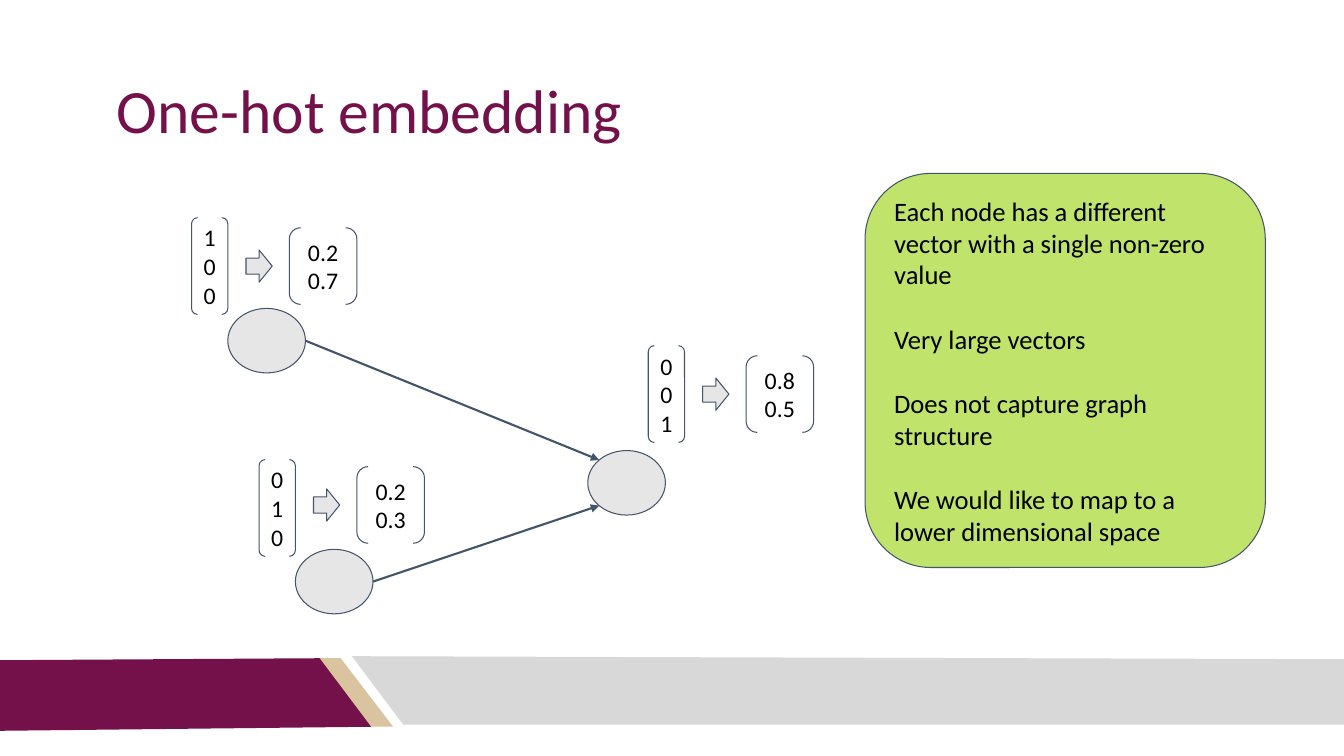
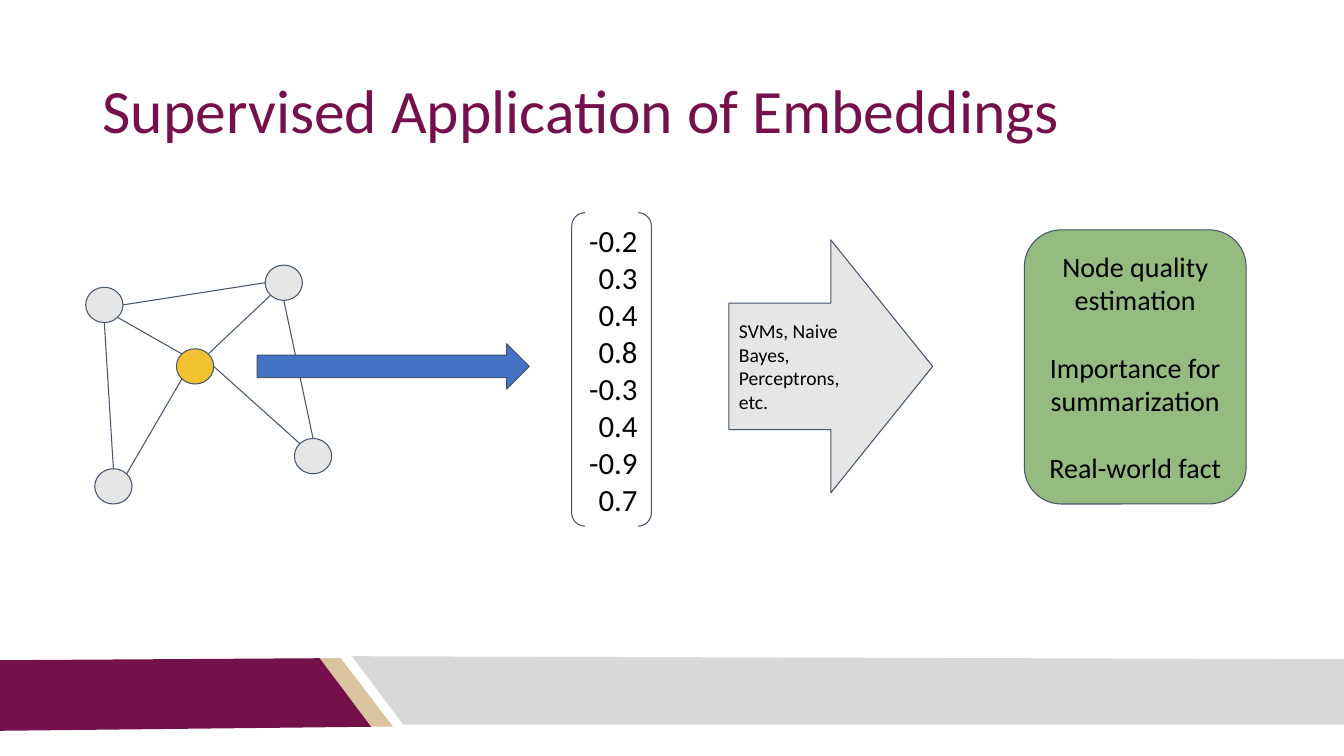
from dataclasses import dataclass
from math import sqrt

from lxml.etree import SubElement
from pptx import Presentation
from pptx.dml.color import RGBColor
from pptx.enum.shapes import MSO_CONNECTOR, MSO_SHAPE as Preset
from pptx.enum.text import MSO_ANCHOR as Anchor, PP_ALIGN as Align
from pptx.oxml.ns import qn
from pptx.util import Inches, Pt


@dataclass(frozen=True)
class Theme:
    font: str = "Calibri"
    maroon: RGBColor = RGBColor(0x75, 0x11, 0x4A)
    tan: RGBColor = RGBColor(0xD9, 0xC4, 0x9F)
    band_gray: RGBColor = RGBColor(0xD8, 0xD8, 0xD8)
    node_gray: RGBColor = RGBColor(0xE7, 0xE6, 0xE6)
    outline: RGBColor = RGBColor(0x44, 0x54, 0x6A)
    lime: RGBColor = RGBColor(0xB0, 0xDD, 0x46)
    green: RGBColor = RGBColor(0x96, 0xBB, 0x80)
    yellow: RGBColor = RGBColor(0xF1, 0xC2, 0x32)
    blue: RGBColor = RGBColor(0x44, 0x72, 0xC4)
    black: RGBColor = RGBColor(0, 0, 0)
    title_size: int = 44
    vector_size: int = 17
    remark_size: int = 19
    embedding_size: int = 22
    method_size: int = 14
    task_size: int = 20


theme = Theme()
MARGIN = Inches(0.1)
DIAGONAL = sqrt(0.5)
SITES = {
    "N": (0, -1), "S": (0, 1), "W": (-1, 0), "E": (1, 0),
    "NW": (-DIAGONAL, -DIAGONAL), "NE": (DIAGONAL, -DIAGONAL),
    "SW": (-DIAGONAL, DIAGONAL), "SE": (DIAGONAL, DIAGONAL),
}


def add_figure(slide, preset, box, fill=None, lines=(), size=None, align=Align.CENTER, gap=0):
    """Add an outlined shape; gap is the space in points between its paragraphs."""
    shape = slide.shapes.add_shape(preset, *map(Inches, box))
    shape.shadow.inherit = False
    shape.line.color.rgb = theme.outline
    shape.line.width = Pt(0.75)
    if fill is None:
        shape.fill.background()
    else:
        shape.fill.solid()
        shape.fill.fore_color.rgb = fill
    frame = shape.text_frame
    frame.word_wrap = True
    frame.vertical_anchor = Anchor.MIDDLE
    frame.margin_left = frame.margin_right = frame.margin_top = frame.margin_bottom = MARGIN
    for index, line in enumerate(lines):
        paragraph = frame.add_paragraph() if index else frame.paragraphs[0]
        paragraph.alignment = align
        if index and gap:
            paragraph.space_before = Pt(gap)
        run = paragraph.add_run()
        run.text = line
        run.font.name = theme.font
        run.font.size = Pt(size)
        run.font.color.rgb = theme.black
    return shape


def add_edge(slide, start, start_site, end, end_site, width=0.75, arrow=False):
    """Join two ellipses at compass points on their outlines."""
    ends = []
    for node, site in ((start, start_site), (end, end_site)):
        across, down = SITES[site]
        ends += [int(node.left + node.width * (1 + across) / 2),
                 int(node.top + node.height * (1 + down) / 2)]
    connector = slide.shapes.add_connector(MSO_CONNECTOR.STRAIGHT, *ends)
    connector.line.color.rgb = theme.outline
    connector.line.width = Pt(width)
    properties = connector.element.spPr
    if arrow:
        SubElement(properties.find(qn("a:ln")), qn("a:tailEnd"), type="triangle")
    SubElement(properties, qn("a:effectLst"))


presentation = Presentation()
presentation.slide_width = Inches(13.33)
presentation.slide_height = Inches(7.5)
blank = presentation.slide_layouts[6]

# Titles
slides = []
for title, left in (("One-hot embedding", 1.06), ("Supervised Application of Embeddings", 0.92)):
    slide = presentation.slides.add_slide(blank)
    slides.append(slide)
    title_box = slide.shapes.add_textbox(Inches(left), Inches(0.4), Inches(11.36), Inches(1.45))
    frame = title_box.text_frame
    frame.word_wrap = True
    frame.vertical_anchor = Anchor.MIDDLE
    frame.margin_left = frame.margin_right = frame.margin_top = frame.margin_bottom = MARGIN
    paragraph = frame.paragraphs[0]
    paragraph.line_spacing = 0.9
    run = paragraph.add_run()
    run.text = title
    run.font.name = theme.font
    run.font.size = Pt(theme.title_size)
    run.font.color.rgb = theme.maroon
one_hot_slide, supervised_slide = slides

# Footer bands, moved to the layout so that both slides share them
bands = (
    (theme.tan, ((3.16, 6.53), (3.38, 6.53), (3.9, 7.21), (3.67, 7.21))),
    (theme.maroon, ((0, 6.55), (3.17, 6.53), (3.68, 7.21), (0, 7.25))),
    (theme.band_gray, ((3.49, 6.51), (13.33, 6.54), (13.33, 7.19), (4, 7.19))),
)
for color, corners in bands:
    points = [(Inches(x), Inches(y)) for x, y in corners]
    builder = one_hot_slide.shapes.build_freeform(*points[0])
    builder.add_line_segments(points[1:], close=True)
    band = builder.convert_to_shape()
    band.shadow.inherit = False
    band.fill.solid()
    band.fill.fore_color.rgb = color
    band.line.fill.background()
    blank.shapes.element.append(band.element)

# One-hot embedding: graph
target, upper, lower = [
    add_figure(one_hot_slide, Preset.OVAL, (left, top, 0.77, 0.64), theme.node_gray)
    for left, top in ((5.83, 4.47), (2.26, 3.06), (2.93, 5.45))
]
add_edge(one_hot_slide, upper, "E", target, "NW", 1.5, arrow=True)
add_edge(one_hot_slide, lower, "E", target, "SW", 1.5, arrow=True)

# One-hot embedding: each vector and the shorter one it maps to
mappings = (
    (1.9, 2.64, 2.64, "100", ("0.2", "0.7")),
    (2.57, 5.04, 5.01, "010", ("0.2", "0.3")),
    (6.43, 3.91, 3.91, "001", ("0.8", "0.5")),
)
for left, one_hot_middle, embedding_middle, digits, values in mappings:
    add_figure(one_hot_slide, Preset.DOUBLE_BRACKET, (left, one_hot_middle - 0.48, 0.36, 0.96),
               lines=digits, size=theme.vector_size)
    add_figure(one_hot_slide, Preset.RIGHT_ARROW,
               (left + 0.54, embedding_middle - 0.16, 0.26, 0.32), theme.node_gray)
    add_figure(one_hot_slide, Preset.DOUBLE_BRACKET,
               (left + 0.97, embedding_middle - 0.38, 0.67, 0.76),
               lines=values, size=theme.vector_size)

remarks = (
    "Each node has a different vector with a single non-zero value",
    "Very large vectors",
    "Does not capture graph structure",
    "We would like to map to a lower dimensional space",
)
remark_panel = add_figure(one_hot_slide, Preset.ROUNDED_RECTANGLE, (8.58, 1.72, 3.97, 3.91),
                          theme.lime, remarks, theme.remark_size, Align.LEFT, gap=23)
lime_color = remark_panel.element.spPr.find(qn("a:solidFill")).find(qn("a:srgbClr"))
SubElement(lime_color, qn("a:alpha"), val="80000")

# Supervised application: graph
center, upper_left, lower_left, lower_right, upper_right = [
    add_figure(supervised_slide, Preset.OVAL, (left, top, 0.37, 0.35), color)
    for left, top, color in (
        (1.75, 3.46, theme.yellow),
        (0.85, 2.85, theme.node_gray),
        (0.94, 4.65, theme.node_gray),
        (2.92, 4.35, theme.node_gray),
        (2.63, 2.63, theme.node_gray),
    )
]
for edge in (
    (upper_left, "E", upper_right, "W"),
    (upper_left, "SE", center, "NW"),
    (upper_left, "S", lower_left, "N"),
    (lower_left, "NE", center, "SW"),
    (center, "E", lower_right, "NW"),
    (lower_right, "N", upper_right, "S"),
    (upper_right, "SW", center, "NE"),
):
    add_edge(supervised_slide, *edge)

# Supervised application: from embedding to tasks
add_figure(supervised_slide, Preset.RIGHT_ARROW, (2.55, 3.41, 2.7, 0.45), theme.blue)
embedding = ("-0.2", "0.3", "0.4", "0.8", "-0.3", "0.4", "-0.9", "0.7")
add_figure(supervised_slide, Preset.DOUBLE_BRACKET, (5.67, 2.11, 0.79, 3.11),
           lines=embedding, size=theme.embedding_size, align=Align.RIGHT)
add_figure(supervised_slide, Preset.RIGHT_ARROW, (7.23, 2.38, 2.02, 2.51), theme.node_gray,
           ("SVMs, Naive Bayes,", "Perceptrons, etc."), theme.method_size, Align.LEFT)
tasks = ("Node quality estimation", "Importance for summarization", "Real-world fact")
add_figure(supervised_slide, Preset.ROUNDED_RECTANGLE, (10.16, 2.28, 2.2, 2.72), theme.green,
           tasks, theme.task_size, gap=24)

presentation.save("out.pptx")
